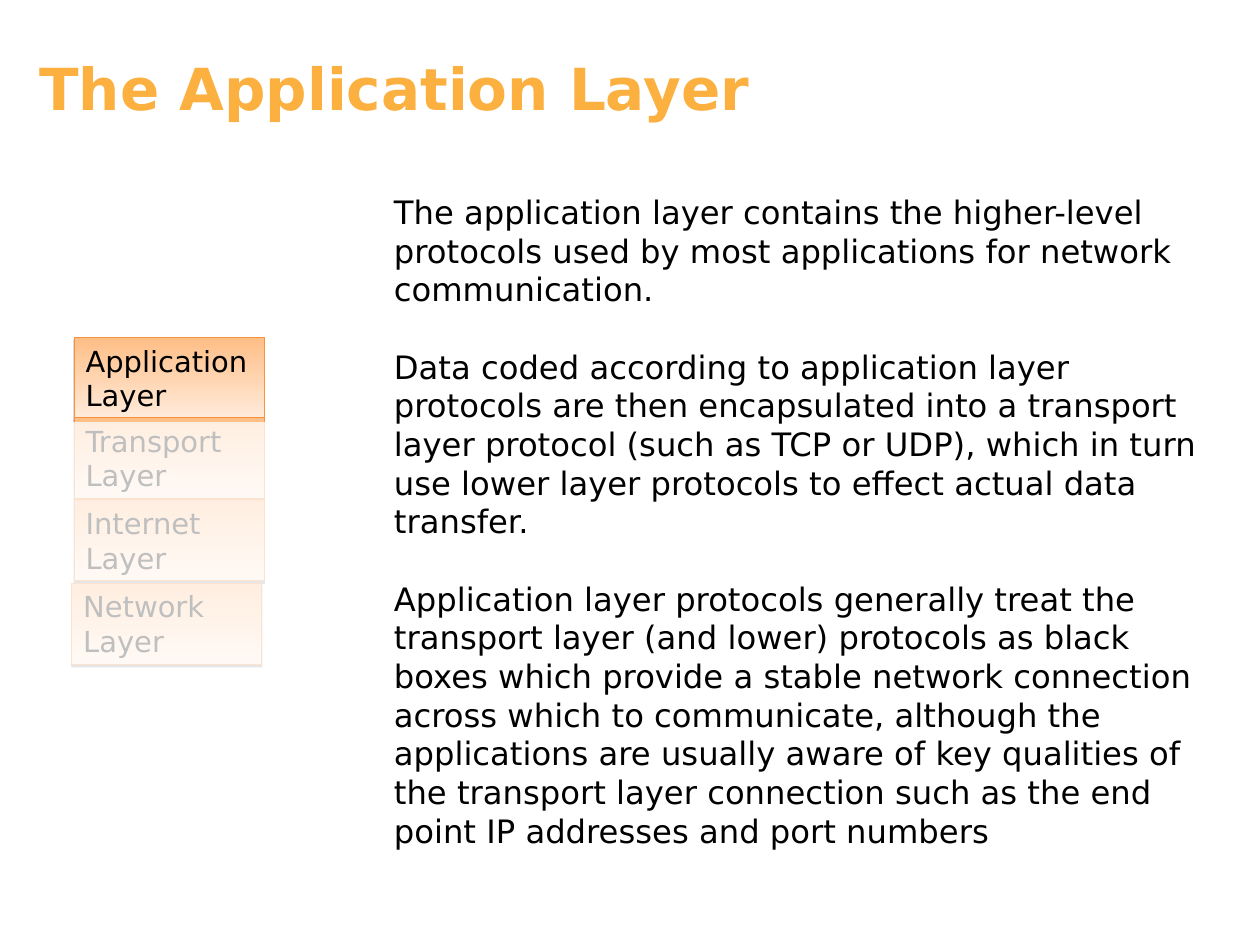
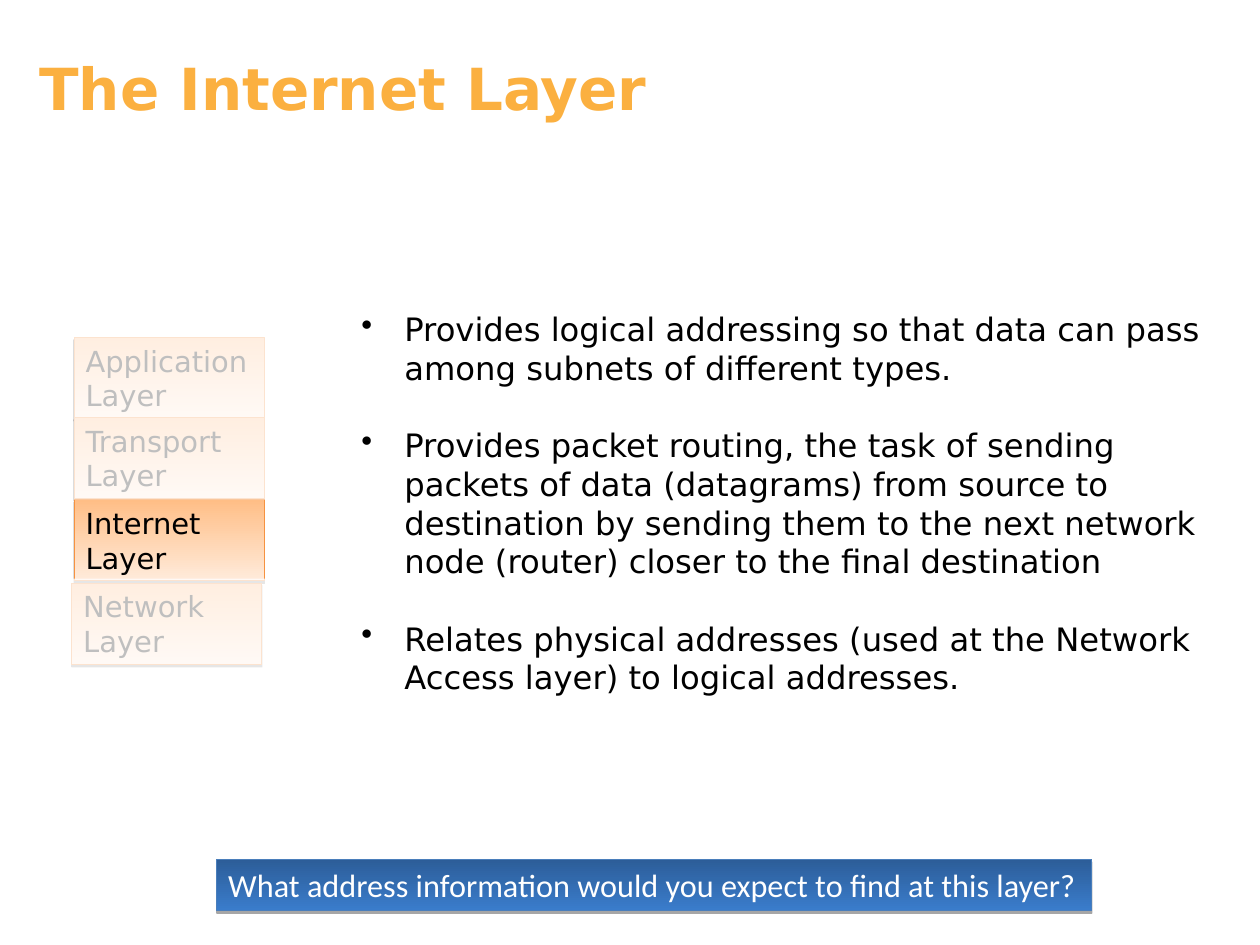
"""Build two slides on the layers of the TCP/IP model."""
from lxml import etree
from pptx import Presentation
from pptx import util as u
from pptx.dml.color import RGBColor
from pptx.enum import shapes, text
from pptx.oxml import ns

PX = 9144
AMBER = RGBColor(0xFB, 0xB0, 0x40)
BLACK = RGBColor(0x00, 0x00, 0x00)
WHITE = RGBColor(0xFF, 0xFF, 0xFF)
PEACH = RGBColor(0xFF, 0xBE, 0x86)
CREAM = RGBColor(0xFF, 0xEB, 0xDB)
ORANGE = RGBColor(0xF6, 0x92, 0x40)
NAVY = RGBColor(0x2C, 0x5D, 0x98)
BLUE = RGBColor(0x3A, 0x7C, 0xCB)
STEEL = RGBColor(0x4A, 0x7E, 0xBB)

TITLE_FONT = {"name": "DejaVu Sans", "size": u.Pt(36), "bold": True}
LAYER_FONT = {"name": "DejaVu Sans", "size": u.Pt(18)}
BODY_FONT = {"name": "DejaVu Sans", "size": u.Pt(20)}
QUESTION_FONT = {"name": "Calibri", "size": u.Pt(20)}
FIXED_FRAME = {"word_wrap": True, "auto_size": text.MSO_AUTO_SIZE.NONE,
               "vertical_anchor": text.MSO_ANCHOR.TOP}
GROWING_FRAME = FIXED_FRAME | {"auto_size": text.MSO_AUTO_SIZE.SHAPE_TO_FIT_TEXT}
LAYER_FRAME = GROWING_FRAME | {"vertical_anchor": text.MSO_ANCHOR.MIDDLE}
QUESTION_FRAME = GROWING_FRAME | {"word_wrap": False}
HANGING_INDENT = 37

LAYERS = [
    ("Application Layer", 64, 291),
    ("Transport Layer", 64, 360),
    ("Internet Layer", 64, 431),
    ("Network Layer", 62, 503),
]
SLIDES = [
    {
        "title": "The Application Layer",
        "body_box": (330, 161, 728, 544),
        "bulleted": False,
        "body": [
            "The application layer contains the higher-level protocols used by most "
            "applications for network communication.",
            "Data coded according to application layer protocols are then encapsulated "
            "into a transport layer protocol (such as TCP or UDP), which in turn use "
            "lower layer protocols to effect actual data transfer.",
            "Application layer protocols generally treat the transport layer (and lower) "
            "protocols as black boxes which provide a stable network connection across "
            "which to communicate, although the applications are usually aware of key "
            "qualities of the transport layer connection such as the end point IP "
            "addresses and port numbers",
        ],
        "question": None,
        "veils": [(50, 364, 192, 223)],
    },
    {
        "title": "The Internet Layer",
        "body_box": (302, 262, 756, 344),
        "bulleted": True,
        "body": [
            "Provides logical addressing so that data can pass among subnets of "
            "different types.",
            "Provides packet routing, the task of sending packets of data (datagrams) "
            "from source to destination by sending them to the next network node "
            "(router) closer to the final destination",
            "Relates physical addresses (used at the Network Access layer) to logical "
            "addresses.",
        ],
        "question": "What address information would you expect to find at this layer?",
        "veils": [(56, 499, 186, 78), (64, 282, 181, 149)],
    },
]


def write_text(shape, lines, frame_format, font_format, color, bulleted=False):
    frame = shape.text_frame
    for name, value in frame_format.items():
        setattr(frame, name, value)
    for index, line in enumerate(lines):
        paragraph = frame.add_paragraph() if index else frame.paragraphs[0]
        paragraph.alignment = text.PP_ALIGN.LEFT
        if index:
            paragraph.space_before = u.Pt(24)
        if bulleted:
            properties = paragraph._p.get_or_add_pPr()
            properties.set("marL", str(HANGING_INDENT * PX))
            properties.set("indent", str(-HANGING_INDENT * PX))
            etree.SubElement(properties, ns.qn("a:buChar"), char="•")
        run = paragraph.add_run()
        run.text = line
        for name, value in font_format.items():
            setattr(run.font, name, value)
        run.font.color.rgb = color


def add_panel(slide, box, colors, line_color, shadow_distance, shadow_opacity):
    panel = slide.shapes.add_shape(shapes.MSO_SHAPE.RECTANGLE, *[n * PX for n in box])
    panel.fill.gradient()
    panel.fill.gradient_angle = 270
    for stop, color in zip(panel.fill.gradient_stops, colors):
        stop.color.rgb = color
    panel.line.color.rgb = line_color
    panel.line.width = u.Pt(0.75)
    panel.shadow.inherit = False
    effects = panel._element.spPr.find(ns.qn("a:effectLst"))
    shadow = etree.SubElement(
        effects, ns.qn("a:outerShdw"), dist=str(u.Pt(shadow_distance)),
        dir="5400000", rotWithShape="0")
    shadow_color = etree.SubElement(shadow, ns.qn("a:srgbClr"), val=str(BLACK))
    etree.SubElement(shadow_color, ns.qn("a:alpha"), val=str(shadow_opacity * 1000))
    return panel


presentation = Presentation()
presentation.slide_width = 1087 * PX
presentation.slide_height = 815 * PX

for content in SLIDES:
    slide = presentation.slides.add_slide(presentation.slide_layouts[5])
    title = slide.shapes.title
    title_box = {"left": 24, "top": 40, "width": 889, "height": 82}
    for name, value in title_box.items():
        setattr(title, name, value * PX)
    write_text(title, [content["title"]], FIXED_FRAME, TITLE_FONT, AMBER)

    for label, left, top in LAYERS:
        layer = add_panel(slide, (left, top, 164, 70), (PEACH, CREAM), ORANGE, 1.6, 38)
        write_text(layer, [label], LAYER_FRAME, LAYER_FONT, BLACK)

    body = slide.shapes.add_textbox(*[n * PX for n in content["body_box"]])
    write_text(body, content["body"], GROWING_FRAME, BODY_FONT, BLACK, content["bulleted"])

    if content["question"]:
        question = add_panel(slide, (187, 741, 755, 44), (NAVY, BLUE), STEEL, 1.8, 35)
        write_text(question, [content["question"]], QUESTION_FRAME, QUESTION_FONT, WHITE)

    for box in content["veils"]:
        veil = slide.shapes.add_shape(shapes.MSO_SHAPE.RECTANGLE, *[n * PX for n in box])
        veil.fill.solid()
        veil.fill.fore_color.rgb = WHITE
        veil_color = veil._element.spPr.find(f".//{ns.qn('a:srgbClr')}")
        etree.SubElement(veil_color, ns.qn("a:alpha"), val="75000")
        veil.line.fill.background()
        veil.shadow.inherit = False

presentation.save("out.pptx")
